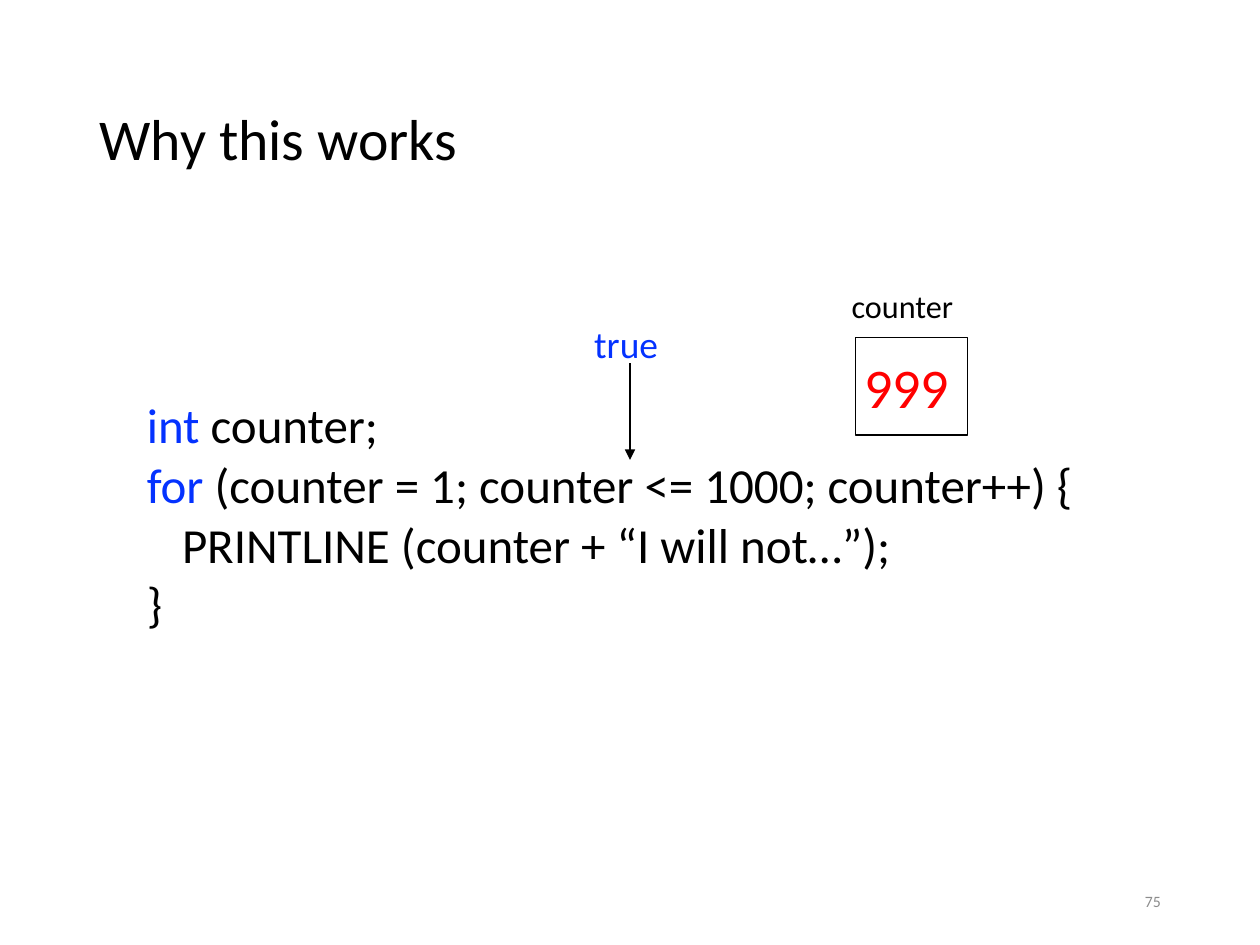
from lxml.etree import SubElement
from pptx import Presentation
from pptx.dml.color import RGBColor
from pptx.enum.shapes import MSO_CONNECTOR as Connector, MSO_SHAPE as Shape
from pptx.enum.text import MSO_ANCHOR as Anchor, PP_ALIGN as Align
from pptx.oxml.ns import qn
from pptx.util import Cm, Pt

FONT = "Calibri"
BLACK, BLUE, RED, GREY = "000000", "0432FF", "FF0000", "8C8C8C"
CODE = [
    (0, [("int ", BLUE), ("counter;", BLACK)]),
    (0, [("for ", BLUE), ("(counter = 1; counter <= 1000; counter++) {", BLACK)]),
    (0.71, [("PRINTLINE (counter + “I will not…”);", BLACK)]),
    (0, [("}", BLACK)]),
]


def color(value):
    return RGBColor.from_string(value)


def write(para, text, size=18, fill=BLACK, align=Align.LEFT, spacing=None):
    para.alignment = align
    if spacing:
        para.line_spacing = spacing
    span = para.add_run()
    span.text = text
    span.font.name = FONT
    span.font.size = Pt(size)
    span.font.color.rgb = color(fill)


def add_box(page, left, top, width, height, wrap=False, anchor=Anchor.TOP):
    box = page.shapes.add_textbox(Cm(left), Cm(top), Cm(width), Cm(height))
    box.text_frame.word_wrap = wrap
    box.text_frame.vertical_anchor = anchor
    return box.text_frame.paragraphs[0]


def add_title(page, left, top, width, height):
    title = page.shapes.title
    title.left, title.top, title.width, title.height = map(Cm, (left, top, width, height))
    title.text_frame.vertical_anchor = Anchor.MIDDLE
    write(title.text_frame.paragraphs[0], "Why this works", size=33, spacing=0.9)


def add_code(page, left, top, width, height):
    box = page.shapes.add_textbox(Cm(left), Cm(top), Cm(width), Cm(height))
    frame = box.text_frame
    frame.word_wrap = True
    for number, (indent, spans) in enumerate(CODE):
        para = frame.add_paragraph() if number else frame.paragraphs[0]
        if number:
            para.space_before = Pt(3.8)
        if indent:
            para._p.get_or_add_pPr().set("marL", str(Cm(indent)))
        for text, fill in spans:
            write(para, text, size=28, fill=fill, spacing=0.9)


def add_variable(page, left, top, width, height):
    cell = page.shapes.add_shape(
        Shape.RECTANGLE, Cm(left), Cm(top), Cm(width), Cm(height))
    cell.shadow.inherit = False
    cell.fill.background()
    cell.line.color.rgb = color(BLACK)
    cell.line.width = Pt(0.75)
    write(add_box(page, left - 0.33, top - 1.17, 2.69, 1.04), "counter", size=18.4)
    write(add_box(page, left - 0.08, top + 0.18, 2.41, 1.63), "999", size=32, fill=RED)


def add_condition(page, left, top, width, height):
    write(add_box(page, left, top, width, 1.17), "true", size=21.4, fill=BLUE)
    middle = Cm(left + 0.97)
    arrow = page.shapes.add_connector(
        Connector.STRAIGHT, middle, Cm(top + 0.97), middle, Cm(top + height))
    arrow.line.color.rgb = color(BLACK)
    arrow.line.width = Pt(0.75)
    SubElement(arrow.line._get_or_add_ln(), qn("a:tailEnd"), type="triangle")
    SubElement(arrow._element.spPr, qn("a:effectLst"))


def add_page_number(page, left, top, width, height):
    para = add_box(page, left, top, width, height, wrap=True, anchor=Anchor.MIDDLE)
    write(para, "75", size=9, fill=GREY, align=Align.RIGHT)


def main():
    deck = Presentation()
    deck.slide_width, deck.slide_height = Cm(25.4), Cm(19.05)
    page = deck.slides.add_slide(deck.slide_layouts[5])
    add_title(page, 1.75, 1.02, 21.9, 3.68)
    add_code(page, 2.71, 7.97, 20.94, 5.2)
    add_variable(page, 17.25, 6.81, 2.26, 1.96)
    add_condition(page, 11.73, 6.35, 1.83, 2.92)
    add_page_number(page, 17.93, 17.65, 5.72, 1.02)
    deck.save("out.pptx")


if __name__ == "__main__":
    main()
